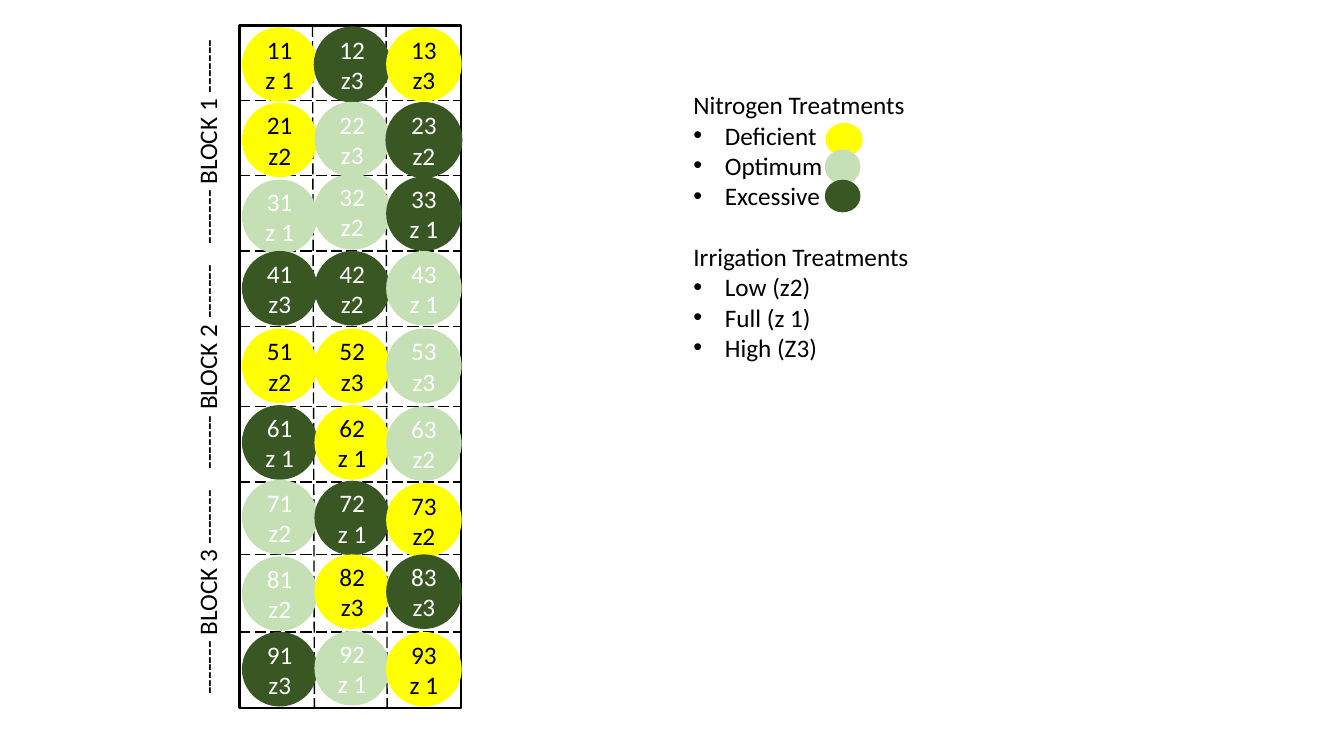
from pptx import Presentation
from pptx import util as u
from pptx.dml.color import RGBColor
from pptx.enum import dml, shapes, text
from pptx.oxml import xmlchemy
from lxml import etree

Pt = u.Pt
BLACK = RGBColor(0x00, 0x00, 0x00)
WHITE = RGBColor(0xFF, 0xFF, 0xFF)
YELLOW = RGBColor(0xFF, 0xFF, 0x00)
PALE_GREEN = RGBColor(0xC5, 0xE0, 0xB4)
DARK_GREEN = RGBColor(0x38, 0x57, 0x23)
DRAWING = "http://schemas.openxmlformats.org/drawingml/2006/main"

NITROGEN = {"D": YELLOW, "O": PALE_GREEN, "E": DARK_GREEN}
# Nitrogen level and irrigation zone of each plot, row by row
PLOTS = [
    [("D", "z 1"), ("E", "z3"), ("D", "z3")],
    [("D", "z2"), ("O", "z3"), ("E", "z2")],
    [("O", "z 1"), ("O", "z2"), ("E", "z 1")],
    [("E", "z3"), ("E", "z2"), ("O", "z 1")],
    [("D", "z2"), ("D", "z3"), ("O", "z3")],
    [("E", "z 1"), ("D", "z 1"), ("O", "z2")],
    [("O", "z2"), ("E", "z 1"), ("D", "z2")],
    [("O", "z2"), ("D", "z3"), ("E", "z3")],
    [("E", "z3"), ("O", "z 1"), ("D", "z 1")],
]
OUTLINED = {"12", "23", "32"}
# Offsets within the field
PLOT_LEFTS = [1.8, 53.6, 104.8]
PLOT_TOPS = [
    [1, 1, 1], [55, 54.3, 55], [109.8, 106.2, 107.6],
    [160.9] * 3, [216.3] * 3, [271, 271, 271.8],
    [324.3, 325, 326.5], [379, 377.6, 377.6], [433, 432.3, 433],
]
ROW_LINES = [53.6, 106.9, 160.9, 214.9, 271.8, 325.8, 377.6, 433]
COLUMN_LINES = [(52.2, 53.6), (104.8, 105.5)]


def style_text(frame, color):
    for para in frame.paragraphs:
        for span in para.runs:
            span.font.size = Pt(18)
            span.font.name = "Calibri"
            span.font.color.rgb = color


def add_filled(page, kind, box, fill, line=None, width=1):
    shape = page.shapes.add_shape(kind, *map(Pt, box))
    shape.shadow.inherit = False
    shape.fill.solid()
    shape.fill.fore_color.rgb = fill
    if line is None:
        shape.line.fill.background()
    else:
        shape.line.color.rgb = line
        shape.line.width = Pt(width)
    return shape


def add_dashed(page, x1, y1, x2, y2):
    line = page.shapes.add_connector(
        shapes.MSO_CONNECTOR.STRAIGHT, Pt(x1), Pt(y1), Pt(x2), Pt(y2))
    line.line.color.rgb = BLACK
    line.line.width = Pt(1)
    line.line.dash_style = dml.MSO_LINE.LONG_DASH
    etree.SubElement(line._element.spPr, f"{{{DRAWING}}}effectLst")


def add_plot(page, box, label, zone, color):
    plot = add_filled(page, shapes.MSO_SHAPE.OVAL, box, color,
                      color if label in OUTLINED else None)
    frame = plot.text_frame
    frame.margin_left = frame.margin_right = 0
    frame.margin_top = frame.margin_bottom = 0
    frame.word_wrap = False
    frame.vertical_anchor = text.MSO_ANCHOR.MIDDLE
    frame.paragraphs[0].text = f"{label}\v{zone}"
    frame.paragraphs[0].alignment = text.PP_ALIGN.CENTER
    style_text(frame, BLACK if color == YELLOW else WHITE)


def add_field(page, left, top, width, height):
    add_filled(page, shapes.MSO_SHAPE.RECTANGLE,
               (left, top, width, height), WHITE, BLACK, 1.75)
    # Grid
    for upper, lower in COLUMN_LINES:
        add_dashed(page, left + upper, top, left + lower, top + height)
    for y in ROW_LINES:
        add_dashed(page, left, top + y, left + width, top + y)
    # Plots
    for row, (plots, tops) in enumerate(zip(PLOTS, PLOT_TOPS), 1):
        for column, (level, zone) in enumerate(plots):
            box = (left + PLOT_LEFTS[column], top + tops[column], 54, 53.3)
            add_plot(page, box, f"{row}{column + 1}", zone, NITROGEN[level])


def add_blocks(page, left, top, width, height):
    """Three vertical labels, one for each third of the given column."""
    long_side, pitch = 175.7, height / 3
    for number in range(3):
        middle = top + pitch * (number + 0.5)
        label = page.shapes.add_textbox(
            Pt(left + (width - long_side) / 2), Pt(middle - width / 2),
            Pt(long_side), Pt(width))
        label.rotation = 270
        label.text_frame.word_wrap = True
        label.text_frame.text = f"------- BLOCK {number + 1} -------"
        style_text(label.text_frame, BLACK)


def add_bullet(para):
    props = para._p.get_or_add_pPr()
    props.set("marL", str(Pt(22.5)))
    props.set("indent", str(-Pt(22.5)))
    font = etree.SubElement(props, f"{{{DRAWING}}}buFont")
    font.set("typeface", "Arial")
    bullet = etree.SubElement(props, f"{{{DRAWING}}}buChar")
    bullet.set("char", "•")


def add_legend(page, left, top, width, height):
    groups = {
        "Nitrogen Treatments": ["Deficient", "Optimum", "Excessive"],
        "Irrigation Treatments": ["Low (z2)", "Full (z 1)", "High (Z3)"],
    }
    box = page.shapes.add_textbox(Pt(left), Pt(top), Pt(width), Pt(height))
    frame = box.text_frame
    frame.word_wrap = True
    frame.text = "\n".join(
        line for title, items in groups.items() for line in [title, *items])
    for para in frame.paragraphs:
        if para.text not in groups:
            add_bullet(para)
    frame.paragraphs[4].space_before = Pt(22)
    style_text(frame, BLACK)
    # Colour swatches
    swatches = [(27.3, 26.6, 23.8, YELLOW, None),
                (46.8, 24.5, 23.8, PALE_GREEN, PALE_GREEN),
                (68.4, 24.5, 22.3, DARK_GREEN, DARK_GREEN)]
    for y, wide, high, fill, line in swatches:
        add_filled(page, shapes.MSO_SHAPE.OVAL,
                   (left + 101.5, top + y, wide, high), fill, line)


deck = Presentation()
deck.slide_width, deck.slide_height = Pt(960), Pt(540)
page = deck.slides.add_slide(deck.slide_layouts[6])
add_field(page, 171, 18.4, 158.4, 487.4)
add_legend(page, 488.2, 60.5, 308.2, 203.8)
add_blocks(page, 133.5, 13.1, 30.2, 483)
deck.save("out.pptx")
